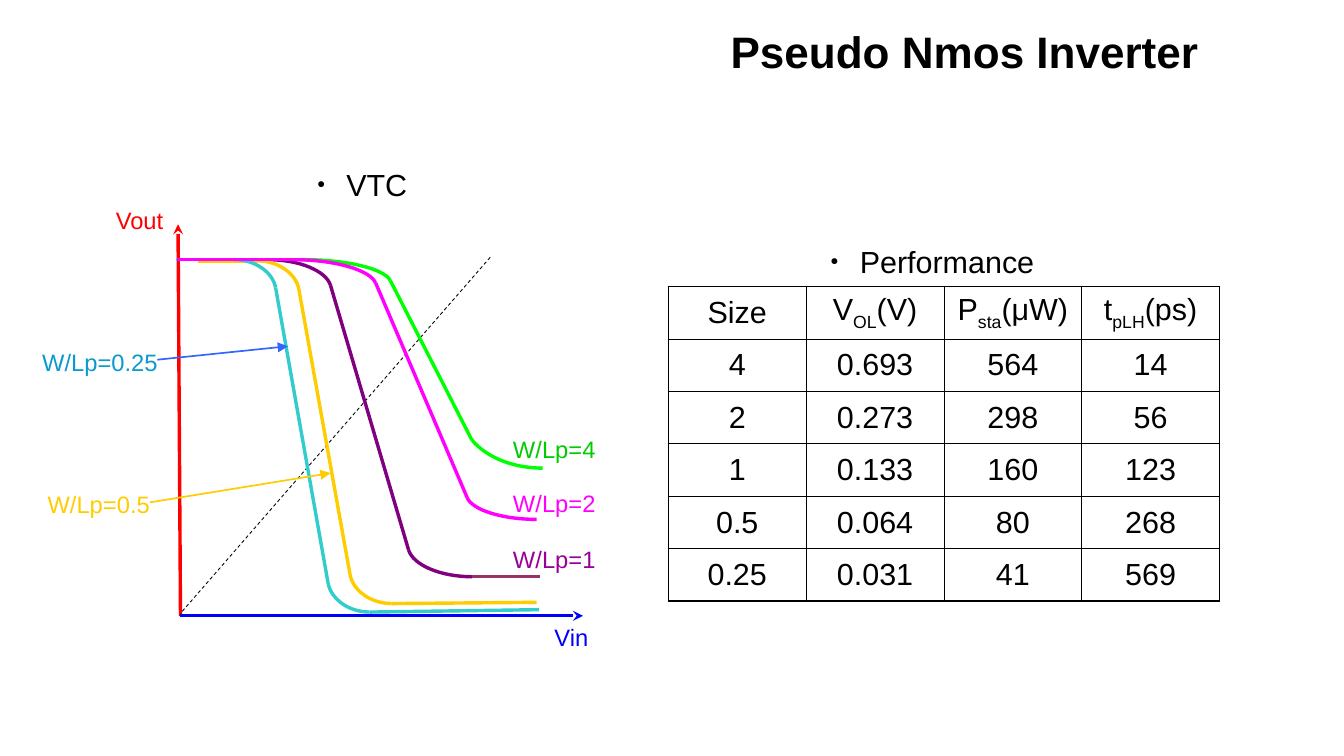
from lxml import etree
from pptx import Presentation
from pptx import util as u
from pptx.dml.color import RGBColor
from pptx.enum import dml, shapes, text
from pptx.oxml.ns import qn

COLOURS = {
    "black": "000000", "vout": "FF0000", "vin": "0000FF", "arrow": "3366FF",
    "size 4": "00FF00", "size 2": "FF00FF", "size 1": "800080", "size 1 tail": "993366",
    "size 0.5": "FFCC00", "size 0.25": "33CCCC",
    "label 4": "00CC00", "label 1": "990099", "label 0.25": "0C99CC",
}
ORIGIN = (1.48, 5.05)
BEND = (0.5, 0.93, 0.44)
CURVES = [
    {"colour": "size 1", "start": (1.46, 2.13), "knee": [(2.2, 2.13), (2.71, 2.34)],
     "foot": [(3.87, 4.73), (3.35, 4.51)], "end": (4.43, 4.73), "tail": "size 1 tail"},
    {"colour": "size 0.5", "start": (1.62, 2.14), "knee": [(2.11, 2.14), (2.45, 2.37)],
     "foot": [(3.21, 4.95), (2.87, 4.71)], "end": (4.4, 4.94)},
    {"colour": "size 4", "start": (1.47, 2.13), "knee": [(2.49, 2.13), (3.2, 2.3)],
     "foot": [(4.45, 3.84), (3.87, 3.61)], "bend": (0.4, 0.78, 0.35)},
    {"colour": "size 0.25", "start": (1.44, 2.13), "knee": [(1.92, 2.13), (2.26, 2.36)],
     "foot": [(3.03, 5.02), (2.69, 4.78)], "end": (4.42, 5)},
    {"colour": "size 2", "start": (1.45, 2.13), "knee": [(2.41, 2.13), (3.08, 2.32)],
     "foot": [(4.4, 4.26), (3.83, 4.08)]},
]
LABELS = [
    ("Vout", "vout", 0.68, 1.64, 0.93), ("Vin", "vin", 4.22, 5.06, 0.93),
    ("W/Lp=0.25", "label 0.25", 0.2, 2.8, 1.24), ("W/Lp=0.5", "size 0.5", 0.19, 3.97, 1.24),
    ("W/Lp=4", "label 4", 3.87, 3.52, 1.35), ("W/Lp=2", "size 2", 3.87, 3.96, 1.35),
    ("W/Lp=1", "label 1", 3.87, 4.42, 1.35),
]
HEADER = [("Size",), ("V", "OL", "(V)"), ("P", "sta", "(μW)"), ("t", "pLH", "(ps)")]
RESULTS = [
    ("4", "0.693", "564", "14"), ("2", "0.273", "298", "56"), ("1", "0.133", "160", "123"),
    ("0.5", "0.064", "80", "268"), ("0.25", "0.031", "41", "569"),
]


class SlideBuilder:
    """Draw styled elements on the current slide."""

    def __init__(self, slide):
        self.slide = slide
        self.font = {"name": "Arial", "bold": False}

    def colour(self, name):
        return RGBColor.from_string(COLOURS[name])

    def format_font(self, font, colour, **values):
        for name, value in {**self.font, **values}.items():
            setattr(font, name, value)
        font.color.rgb = self.colour(colour)

    def place(self, shape, left, top, width, height):
        position = {"left": left, "top": top, "width": width, "height": height}
        for name, value in position.items():
            setattr(shape, name, u.Inches(value))

    def fill_text(self, shape, words, colour, size, align=text.PP_ALIGN.CENTER,
                  anchor=text.MSO_ANCHOR.TOP, spacing=1.0, bold=False, bullet=False):
        frame = shape.text_frame
        frame_format = {"word_wrap": True, "auto_size": text.MSO_AUTO_SIZE.NONE,
                        "vertical_anchor": anchor}
        for name, value in frame_format.items():
            setattr(frame, name, value)
        paragraph = frame.paragraphs[0]
        paragraph.text = words
        if bullet:
            self.bullet(paragraph)
        paragraph_format = {"alignment": align, "line_spacing": spacing, "space_before": u.Pt(0)}
        for name, value in paragraph_format.items():
            setattr(paragraph, name, value)
        self.format_font(paragraph.font, colour, size=u.Pt(size), bold=bold)

    def bullet(self, paragraph):
        properties = paragraph._p.get_or_add_pPr()
        properties.set("marL", str(u.Inches(0.24)))
        properties.set("indent", str(-u.Inches(0.24)))
        colour = etree.SubElement(properties, qn("a:buClr"))
        etree.SubElement(colour, qn("a:srgbClr"), val=COLOURS["black"])
        etree.SubElement(properties, qn("a:buSzPct"), val="45000")
        etree.SubElement(properties, qn("a:buFont"), typeface="Arial")
        etree.SubElement(properties, qn("a:buChar"), char="●")

    def title(self, words, *box):
        shape = self.slide.shapes.title
        self.place(shape, *box)
        self.fill_text(shape, words, "black", 26, text.PP_ALIGN.RIGHT,
                       text.MSO_ANCHOR.MIDDLE, 0.85, True)

    def heading(self, index, words, *box):
        shape = self.slide.placeholders[index]
        self.place(shape, *box)
        self.fill_text(shape, words, "black", 18, bullet=True)

    def label(self, words, colour, left, top, width):
        box = [u.Inches(value) for value in (left, top, width, 0.34)]
        self.fill_text(self.slide.shapes.add_textbox(*box), words, colour, 14)

    def line(self, start, end, colour, width=2, arrow=None, dash=None):
        points = [u.Inches(value) for value in (*start, *end)]
        connector = self.slide.shapes.add_connector(shapes.MSO_CONNECTOR.STRAIGHT, *points)
        connector.line.color.rgb = self.colour(colour)
        connector.line.width = u.Pt(width)
        if dash:
            connector.line.dash_style = dash
        if arrow:
            etree.SubElement(connector.line._get_or_add_ln(), qn("a:tailEnd"), type=arrow)
        etree.SubElement(connector._element.spPr, qn("a:effectLst"))

    def arc(self, start, end, colour, bend=BEND, steps=16):
        (x, y), width, height = start, end[0] - start[0], end[1] - start[1]
        near, far, drop = bend
        points = []
        for step in range(steps + 1):
            t = step / steps
            first, second, last = 3 * t * (1 - t) ** 2, 3 * t ** 2 * (1 - t), t ** 3
            across = first * near + second * far + last
            down = second * drop + last
            points.append((u.Inches(x + width * across), u.Inches(y + height * down)))
        builder = self.slide.shapes.build_freeform(*points[0])
        builder.add_line_segments(points[1:], close=False)
        shape = builder.convert_to_shape()
        shape.shadow.inherit = False
        shape.fill.background()
        shape.line.color.rgb = self.colour(colour)
        shape.line.width = u.Pt(2)

    def curve(self, colour, start, knee, foot, end=None, tail=None, bend=BEND):
        self.line(start, knee[0], colour)
        self.arc(*knee, colour)
        self.arc(*foot, colour, bend)
        self.line(knee[1], foot[1], colour)
        if end:
            self.line(foot[0], end, tail or colour)

    def borders(self, cell, outer):
        properties = cell._tc.get_or_add_tcPr()
        for index, side in enumerate("LRTB"):
            width = u.Pt(1.08 if side in outer else 0.45)
            border = etree.Element(qn(f"a:ln{side}"), w=str(width))
            fill = etree.SubElement(border, qn("a:solidFill"))
            etree.SubElement(fill, qn("a:srgbClr"), val=COLOURS["black"])
            properties.insert(index, border)

    def table(self, rows, left, top, column_width, row_height):
        row_count, column_count = len(rows), len(rows[0])
        box = (left, top, column_width * column_count, row_height * row_count)
        table = self.slide.shapes.add_table(
            row_count, column_count, *[u.Inches(value) for value in box]).table
        table.first_row = table.horz_banding = False
        cell_format = {"margin_left": u.Inches(0.05), "margin_right": u.Inches(0.05),
                       "margin_top": u.Inches(0.03), "margin_bottom": u.Inches(0.03),
                       "vertical_anchor": text.MSO_ANCHOR.MIDDLE}
        for row, values in enumerate(rows):
            for column, parts in enumerate(values):
                cell = table.cell(row, column)
                for name, value in cell_format.items():
                    setattr(cell, name, value)
                cell.fill.background()
                edges = {"L": column == 0, "R": column == column_count - 1,
                         "T": row == 0, "B": row == row_count - 1}
                self.borders(cell, [side for side, outer in edges.items() if outer])
                paragraph = cell.text_frame.paragraphs[0]
                paragraph.alignment = text.PP_ALIGN.CENTER
                for index, words in enumerate(parts):
                    run = paragraph.add_run()
                    run.text = words
                    self.format_font(run.font, "black", size=u.Pt(18))
                    if index == 1:
                        run.font._element.set("baseline", "-25000")


def main():
    presentation = Presentation()
    presentation.slide_width, presentation.slide_height = u.Inches(11.02), u.Inches(6.2)
    builder = SlideBuilder(presentation.slides.add_slide(presentation.slide_layouts[3]))
    builder.title("Pseudo Nmos Inverter", 0, 0.07, 9.93, 0.77)
    builder.heading(1, "VTC", 2.46, 1.31, 1.02, 0.4)
    builder.heading(2, "Performance", 6.57, 1.94, 2.15, 0.4)
    rows = [HEADER] + [[(value,) for value in result] for result in RESULTS]
    builder.table(rows, 5.48, 2.35, 1.13, 0.43)
    builder.line(ORIGIN, (1.46, 1.84), "vout", arrow="stealth")
    builder.line(ORIGIN, (4.78, 5.05), "vin", arrow="stealth")
    builder.line((4.02, 2.11), (1.48, 5.03), "black", 0.5, dash=dml.MSO_LINE.DASH)
    for curve in CURVES:
        builder.curve(**curve)
    builder.line((1.29, 2.95), (2.36, 2.84), "arrow", 1, "triangle")
    builder.line((1.23, 4.12), (2.71, 3.88), "size 0.5", 1, "triangle")
    for label in LABELS:
        builder.label(*label)
    presentation.save("out.pptx")


if __name__ == "__main__":
    main()
